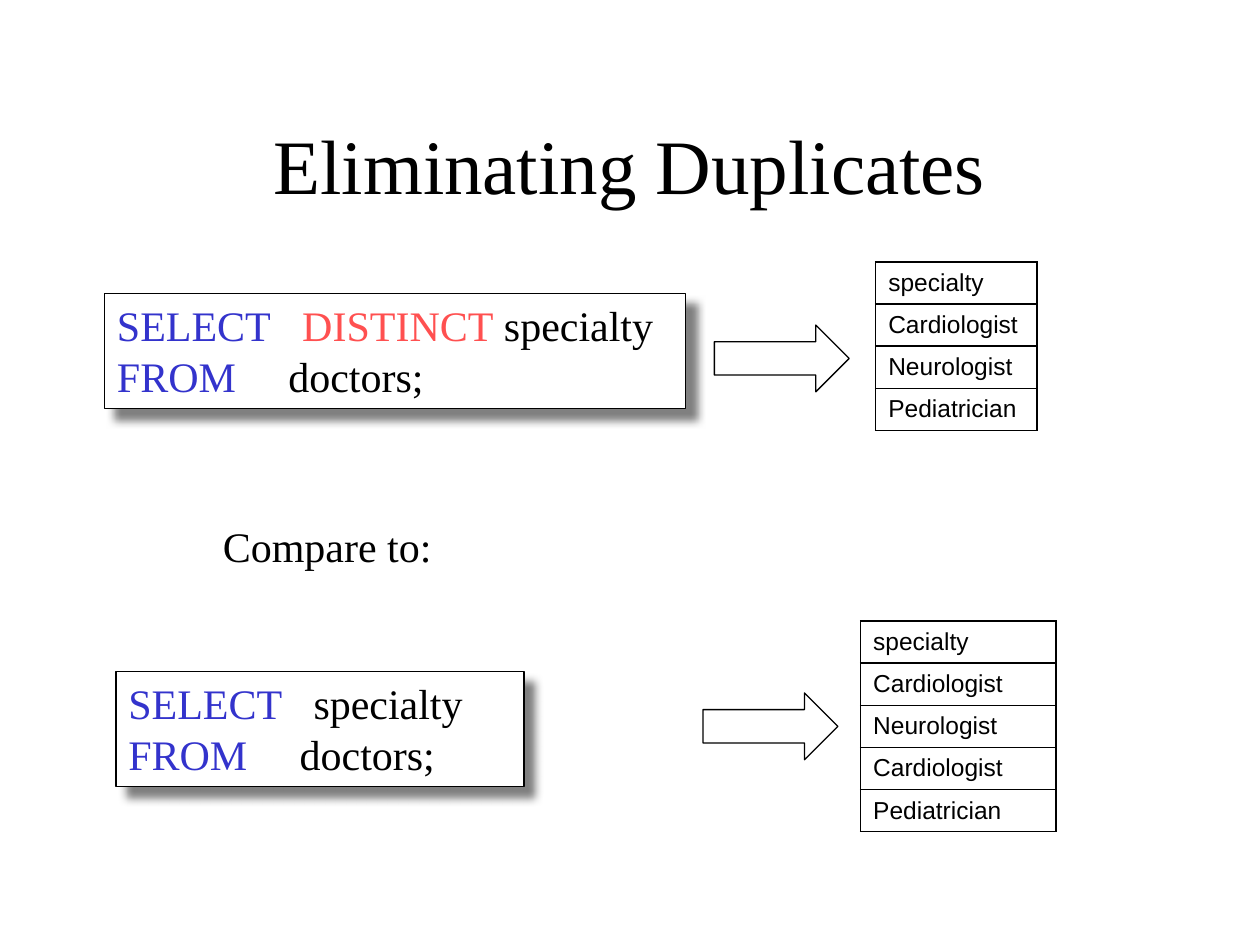
"""Build a slide on removing duplicate rows with SELECT DISTINCT."""
import dataclasses

import pptx
import pptx.dml.color
import pptx.enum.shapes
import pptx.enum.text
import pptx.oxml
import pptx.oxml.ns
import pptx.util

Inches = pptx.util.Inches
Pt = pptx.util.Pt
ALIGN = pptx.enum.text.PP_ALIGN
ANCHOR = pptx.enum.text.MSO_ANCHOR
SHAPE = pptx.enum.shapes.MSO_SHAPE
NS = 'xmlns:a="http://schemas.openxmlformats.org/drawingml/2006/main"'


@dataclasses.dataclass(frozen=True)
class Theme:
    ink: str = "000000"
    paper: str = "FFFFFF"
    key: str = "3333CC"
    accent: str = "FF5050"
    shade: str = "808080"
    serif: str = "Times New Roman"
    sans: str = "Arial"
    title: int = 44
    body: int = 24
    cell: int = 14
    line: float = 0.75
    rule: float = 1


def rgb(code):
    return pptx.dml.color.RGBColor.from_string(code)


def apply(target, values):
    for name, value in values.items():
        setattr(target, name, value)


class Deck:
    def __init__(self, theme, slide):
        self.theme = theme
        self.slide = slide

    def words(self, para, runs, size, face):
        for text, color in runs:
            run = para.add_run()
            run.text = text
            apply(run.font, {"size": Pt(size), "name": face, "bold": False})
            run.font.color.rgb = rgb(color)

    def text(self, box, line, size, align=ALIGN.LEFT, anchor=ANCHOR.TOP):
        frame = self.slide.shapes.add_textbox(*map(Inches, box)).text_frame
        apply(frame, {"word_wrap": True, "vertical_anchor": anchor})
        para = frame.paragraphs[0]
        para.alignment = align
        self.words(para, [(line, self.theme.ink)], size, self.theme.serif)

    def shape(self, kind, box):
        item = self.slide.shapes.add_shape(kind, *map(Inches, box))
        item.shadow.inherit = False
        item.fill.background()
        item.line.color.rgb = rgb(self.theme.ink)
        item.line.width = Pt(self.theme.line)
        return item

    def query(self, box, lines):
        item = self.shape(SHAPE.RECTANGLE, box)
        item.fill.solid()
        item.fill.fore_color.rgb = rgb(self.theme.paper)
        effects = item._element.spPr.find(pptx.oxml.ns.qn("a:effectLst"))
        effects.append(pptx.oxml.parse_xml(
            f'<a:outerShdw {NS} blurRad="{Pt(5)}" dist="{Pt(8.5)}" dir="2700000" '
            f'algn="ctr" rotWithShape="0"><a:srgbClr val="{self.theme.shade}"/></a:outerShdw>'))
        frame = item.text_frame
        apply(frame, {"word_wrap": True, "vertical_anchor": ANCHOR.TOP})
        for index, (stop, runs) in enumerate(lines):
            para = frame.add_paragraph() if index else frame.paragraphs[0]
            para.alignment = ALIGN.LEFT
            para._p.get_or_add_pPr().append(pptx.oxml.parse_xml(
                f'<a:tabLst {NS}><a:tab pos="{Inches(stop)}" algn="l"/></a:tabLst>'))
            self.words(para, runs, self.theme.body, self.theme.serif)

    def arrow(self, left, top):
        self.shape(SHAPE.RIGHT_ARROW, (left, top, 1.07, 0.53))

    def table(self, left, top, width, rows):
        high = Inches(1 / 3)
        grid = self.slide.shapes.add_table(
            len(rows), 1, Inches(left), Inches(top), Inches(width), high * len(rows)).table
        apply(grid, {"first_row": False, "horz_banding": False})
        for index, word in enumerate(rows):
            grid.rows[index].height = high
            cell = grid.cell(index, 0)
            cell.vertical_anchor = ANCHOR.MIDDLE
            self.words(cell.text_frame.paragraphs[0], [(word, self.theme.ink)],
                       self.theme.cell, self.theme.sans)
            for side in "LRTB":
                cell._tc.get_or_add_tcPr().append(pptx.oxml.parse_xml(
                    f'<a:ln{side} {NS} w="{Pt(self.theme.rule)}"><a:solidFill>'
                    f'<a:srgbClr val="{self.theme.ink}"/></a:solidFill></a:ln{side}>'))
            cell.fill.background()


def main():
    show = pptx.Presentation()
    apply(show, {"slide_width": Inches(10), "slide_height": Inches(7.5)})
    theme = Theme()
    deck = Deck(theme, show.slides.add_slide(show.slide_layouts[6]))
    source = (1.36, [("FROM", theme.key), ("\tdoctors;", theme.ink)])

    deck.text((0.75, 0.67, 8.5, 1.25), "Eliminating Duplicates", theme.title,
              ALIGN.CENTER, ANCHOR.MIDDLE)
    deck.query((0.83, 2.33, 4.61, 0.91), [
        (1.47, [("SELECT\t", theme.key), ("DISTINCT", theme.accent),
                (" specialty", theme.ink)]),
        source])
    deck.text((1.67, 4.08, 1.86, 0.5), "Compare to:", theme.body)
    deck.query((0.92, 5.33, 3.24, 0.91), [
        (1.47, [("SELECT", theme.key), ("\tspecialty", theme.ink)]),
        source])
    deck.arrow(5.67, 2.58)
    deck.arrow(5.58, 5.5)
    deck.table(6.83, 4.93, 1.55, ["specialty", "Cardiologist", "Neurologist",
                                  "Cardiologist", "Pediatrician"])
    deck.table(6.95, 2.08, 1.28, ["specialty", "Cardiologist", "Neurologist",
                                  "Pediatrician"])
    show.save("out.pptx")


if __name__ == "__main__":
    main()
